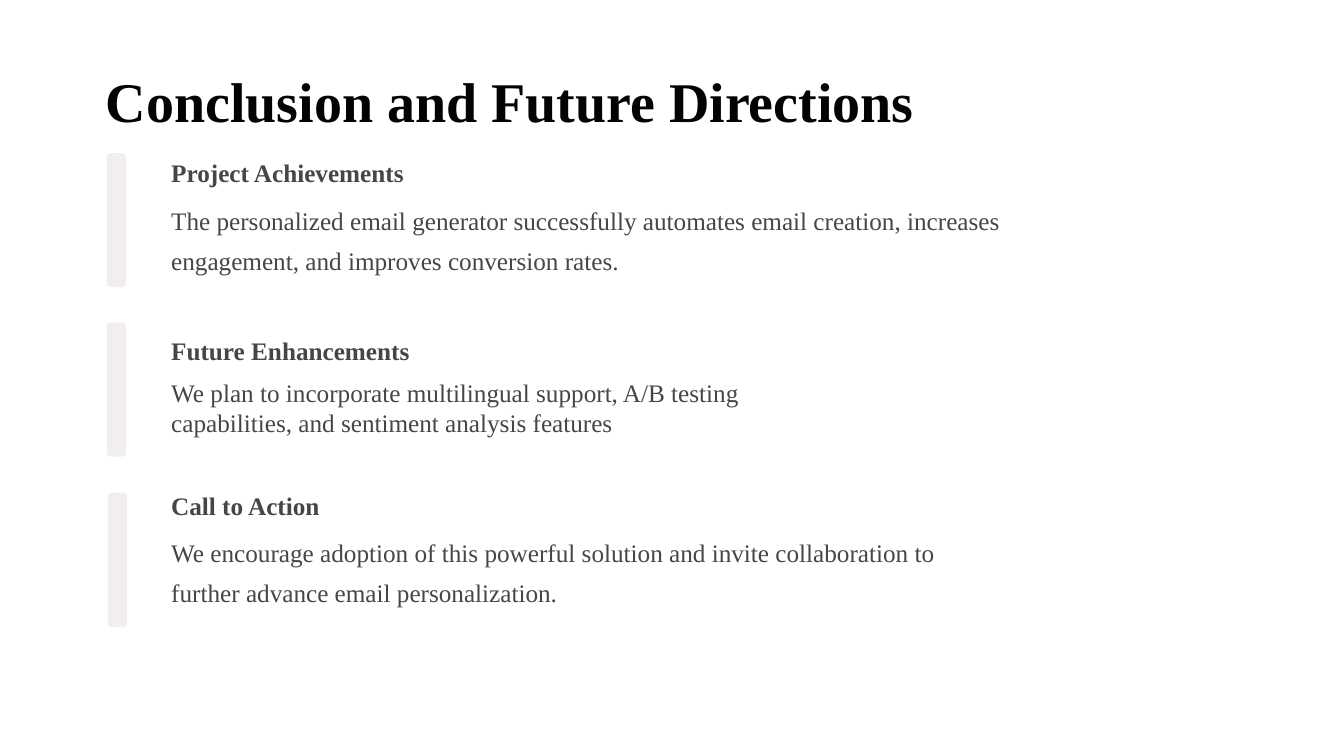
from dataclasses import dataclass

from pptx import Presentation
from pptx.dml.color import RGBColor
from pptx.enum.shapes import MSO_SHAPE
from pptx.enum.text import MSO_ANCHOR, MSO_AUTO_SIZE, PP_ALIGN
from pptx.util import Inches, Pt

FONT = "Times New Roman"
COLORS = {"title": "030303", "body": "464646", "bar": "F2EEEE"}
TEXT_LEFT = 1.6
HEADING_WIDTH = 6.67
HEADING_HEIGHT = 0.46
BAR_WIDTH = 0.19
BAR_HEIGHT = 1.33


@dataclass
class Section:
    heading: str
    body: str
    bar_left: float
    bar_top: float
    heading_top: float
    body_top: float
    body_width: float
    body_height: float = 0.88
    body_spacing: float | None = 28.5


SECTIONS = [
    Section("Project Achievements",
            "The personalized email generator successfully automates email creation, "
            "increases engagement, and improves conversion rates.",
            1.06, 1.52, 1.43, 1.89, 8.77),
    Section("Future Enhancements",
            "We plan to incorporate multilingual support, A/B testing capabilities, "
            "and sentiment analysis features",
            1.06, 3.2, 3.2, 3.69, 6.67, 0.71, None),
    Section("Call to Action",
            "We encourage adoption of this powerful solution and invite collaboration "
            "to further advance email personalization.",
            1.07, 4.89, 4.73, 5.19, 8.42),
]


def write_text(sp, text: str, *, size: float = 18, color: str = "body",
               bold: bool = False, spacing: float | None = None) -> None:
    """Fill a shape with one left-aligned paragraph; spacing is in points."""
    tf = sp.text_frame
    tf.word_wrap = True
    tf.auto_size = MSO_AUTO_SIZE.SHAPE_TO_FIT_TEXT
    tf.vertical_anchor = MSO_ANCHOR.TOP
    p = tf.paragraphs[0]
    p.alignment = PP_ALIGN.LEFT
    p.space_before = Pt(0)
    if spacing is not None:
        p.line_spacing = Pt(spacing)
    r = p.add_run()
    r.text = text
    r.font.name = FONT
    r.font.size = Pt(size)
    r.font.bold = bold
    r.font.color.rgb = RGBColor.from_string(COLORS[color])


def add_title(s, text: str) -> None:
    sp = s.shapes.title
    sp.left, sp.top = Inches(0.95), Inches(0.51)
    sp.width, sp.height = Inches(9.9), Inches(0.83)
    write_text(sp, text, size=40, color="title", bold=True, spacing=55.5)


def add_bar(s, left: float, top: float) -> None:
    sp = s.shapes.add_shape(MSO_SHAPE.ROUNDED_RECTANGLE, Inches(left), Inches(top),
                            Inches(BAR_WIDTH), Inches(BAR_HEIGHT))
    sp.adjustments[0] = 0.2
    sp.shadow.inherit = False
    sp.fill.solid()
    sp.fill.fore_color.rgb = RGBColor.from_string(COLORS["bar"])
    sp.line.fill.background()


def add_section(s, section: Section) -> None:
    add_bar(s, section.bar_left, section.bar_top)
    heading = s.shapes.add_textbox(Inches(TEXT_LEFT), Inches(section.heading_top),
                                   Inches(HEADING_WIDTH), Inches(HEADING_HEIGHT))
    write_text(heading, section.heading, bold=True, spacing=27.5)
    body = s.shapes.add_textbox(Inches(TEXT_LEFT), Inches(section.body_top),
                                Inches(section.body_width), Inches(section.body_height))
    write_text(body, section.body, spacing=section.body_spacing)


def main() -> None:
    prs = Presentation()
    prs.slide_width, prs.slide_height = Inches(13.33), Inches(7.5)
    s = prs.slides.add_slide(prs.slide_layouts.get_by_name("Title Only"))
    add_title(s, "Conclusion and Future Directions")
    for section in SECTIONS:
        add_section(s, section)
    prs.save("out.pptx")


if __name__ == "__main__":
    main()
